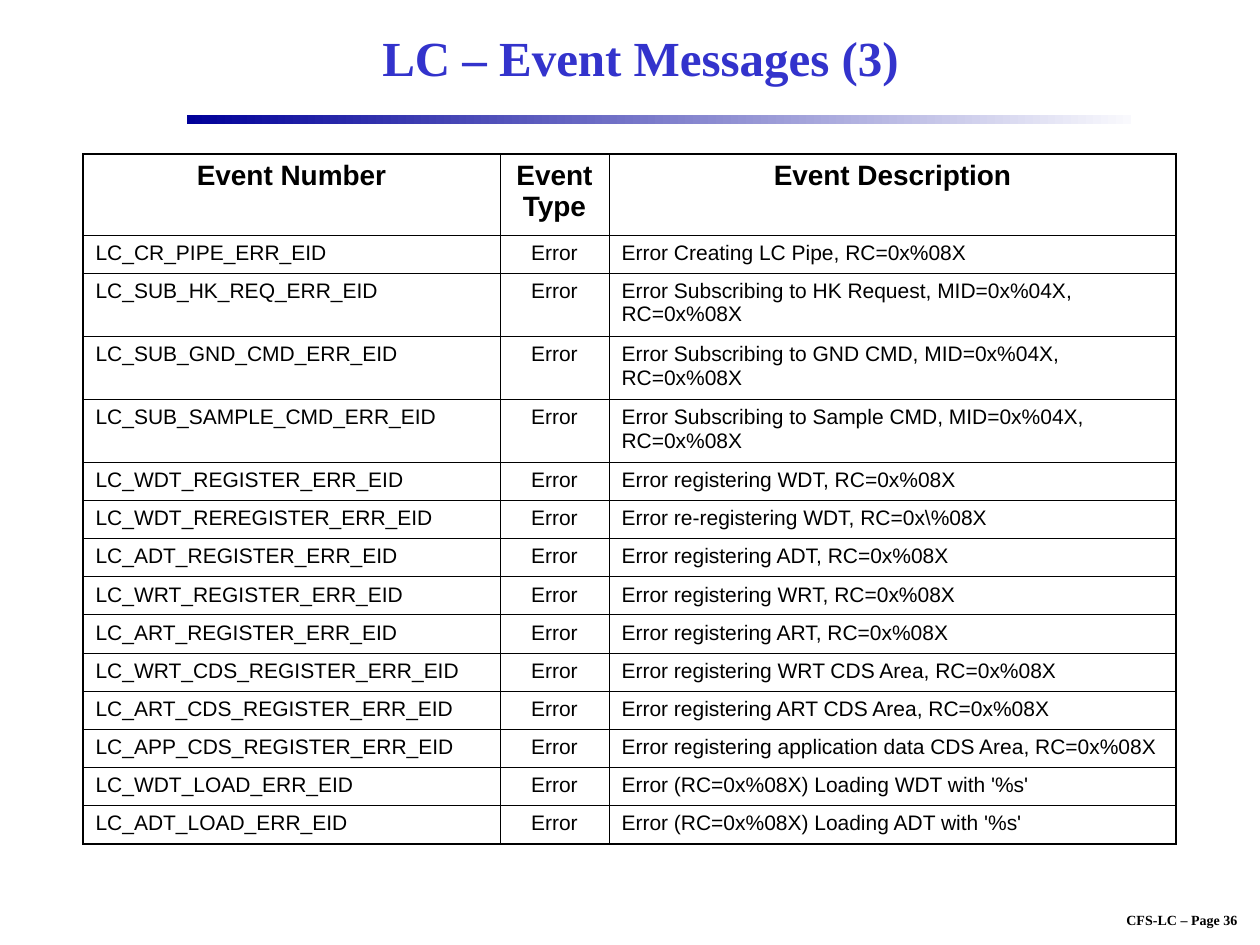
from lxml import etree
from pptx import Presentation
from pptx import util as u
from pptx.dml.color import RGBColor
from pptx.enum import shapes, text
from pptx.oxml.ns import qn

HEADERS = ["Event Number", "Event Type", "Event Description"]
EVENTS = [
    ("LC_CR_PIPE_ERR_EID", "Error Creating LC Pipe, RC=0x%08X"),
    ("LC_SUB_HK_REQ_ERR_EID", "Error Subscribing to HK Request, MID=0x%04X, RC=0x%08X"),
    ("LC_SUB_GND_CMD_ERR_EID", "Error Subscribing to GND CMD, MID=0x%04X, RC=0x%08X"),
    ("LC_SUB_SAMPLE_CMD_ERR_EID", "Error Subscribing to Sample CMD, MID=0x%04X, RC=0x%08X"),
    ("LC_WDT_REGISTER_ERR_EID", "Error registering WDT, RC=0x%08X"),
    ("LC_WDT_REREGISTER_ERR_EID", "Error re-registering WDT, RC=0x\\%08X"),
    ("LC_ADT_REGISTER_ERR_EID", "Error registering ADT, RC=0x%08X"),
    ("LC_WRT_REGISTER_ERR_EID", "Error registering WRT, RC=0x%08X"),
    ("LC_ART_REGISTER_ERR_EID", "Error registering ART, RC=0x%08X"),
    ("LC_WRT_CDS_REGISTER_ERR_EID", "Error registering WRT CDS Area, RC=0x%08X"),
    ("LC_ART_CDS_REGISTER_ERR_EID", "Error registering ART CDS Area, RC=0x%08X"),
    ("LC_APP_CDS_REGISTER_ERR_EID", "Error registering application data CDS Area, RC=0x%08X"),
    ("LC_WDT_LOAD_ERR_EID", "Error (RC=0x%08X) Loading WDT with '%s'"),
    ("LC_ADT_LOAD_ERR_EID", "Error (RC=0x%08X) Loading ADT with '%s'"),
]
TABLE_HEIGHT, HEADER_HEIGHT, TALL_HEIGHT = 690, 81, 63


def px(n):
    return u.Emu(round(n * 914400 / 126))


def rgb(value):
    return RGBColor.from_string(value)


class Deck:
    SERIF, SANS = "Times New Roman", "Arial"
    BLACK, TITLE = "000000", "3333CC"
    THIN, THICK = 0.45, 1.08

    def __init__(self, prs):
        self.s = prs.slides.add_slide(prs.slide_layouts[5])

    def set_text(self, tf, words, size, font, color, bold, align):
        tf.text = words
        p = tf.paragraphs[0]
        p.alignment = align
        p.space_before = u.Pt(0)
        for r in p.runs:
            r.font.size, r.font.name, r.font.bold = u.Pt(size), font, bold
            r.font.color.rgb = rgb(color)

    def title(self, words, x, y, w, h):
        sp = self.s.shapes.title
        sp.left, sp.top, sp.width, sp.height = map(px, (x, y, w, h))
        self.set_text(sp.text_frame, words, 28, self.SERIF, self.TITLE, True, text.PP_ALIGN.CENTER)
        sp.text_frame.vertical_anchor = text.MSO_ANCHOR.MIDDLE

    def footer(self, words, x, y, w, h):
        tf = self.s.shapes.add_textbox(*map(px, (x, y, w, h))).text_frame
        self.set_text(tf, words, 8, self.SERIF, self.BLACK, True, text.PP_ALIGN.CENTER)
        tf.word_wrap = False

    def gradient_bar(self, x, y, w, h, *colors):
        sp = self.s.shapes.add_shape(shapes.MSO_SHAPE.RECTANGLE, *map(px, (x, y, w, h)))
        sp.shadow.inherit = False
        sp.line.fill.background()
        sp.fill.gradient()
        sp.fill.gradient_angle = 0
        for stop, color in zip(sp.fill.gradient_stops, colors):
            stop.color.rgb = rgb(color)

    def borders(self, cell, **widths):
        tc_pr = cell._tc.get_or_add_tcPr()
        for i, side in enumerate("LRTB"):
            ln = etree.Element(qn(f"a:ln{side}"), w=str(u.Pt(widths[side])))
            fill = etree.SubElement(ln, qn("a:solidFill"))
            etree.SubElement(fill, qn("a:srgbClr"), val=self.BLACK)
            tc_pr.insert(i, ln)

    def table(self, rows, x, y, widths, heights):
        frame = self.s.shapes.add_table(
            len(rows), len(widths), *map(px, (x, y, sum(widths), sum(heights))))
        tbl = frame.table
        tbl.horz_banding = False
        for col, w in zip(tbl.columns, widths):
            col.width = px(w)
        for row, h in zip(tbl.rows, heights):
            row.height = px(h)
        last_row, last_col = len(rows) - 1, len(widths) - 1
        for i, row in enumerate(rows):
            for j, words in enumerate(row):
                cell = tbl.cell(i, j)
                cell.fill.background()
                header = i == 0
                centred = header or j == 1
                self.set_text(cell.text_frame, words, 16 if header else 12, self.SANS, self.BLACK,
                              header, text.PP_ALIGN.CENTER if centred else text.PP_ALIGN.LEFT)
                edges = {"L": j == 0, "R": j == last_col, "T": header, "B": i == last_row}
                self.borders(cell, **{side: self.THICK if outer else self.THIN
                                      for side, outer in edges.items()})


def main():
    prs = Presentation()
    prs.slide_width, prs.slide_height = px(1260), px(945)
    deck = Deck(prs)
    deck.footer("CFS-LC – Page 36", 1089, 905, 186, 29)
    deck.gradient_bar(187, 115, 944, 9, "000099", "F9F9FD")
    deck.title("LC – Event Messages (3)", 189, 10, 903, 94)

    tall = ["Subscribing" in description for _, description in EVENTS]
    short_height = (TABLE_HEIGHT - HEADER_HEIGHT - TALL_HEIGHT * sum(tall)) / tall.count(False)
    heights = [HEADER_HEIGHT] + [TALL_HEIGHT if t else short_height for t in tall]
    rows = [HEADERS] + [(number, "Error", description) for number, description in EVENTS]
    deck.table(rows, 83, 154, [417, 109, 567], heights)
    prs.save("out.pptx")


if __name__ == "__main__":
    main()
